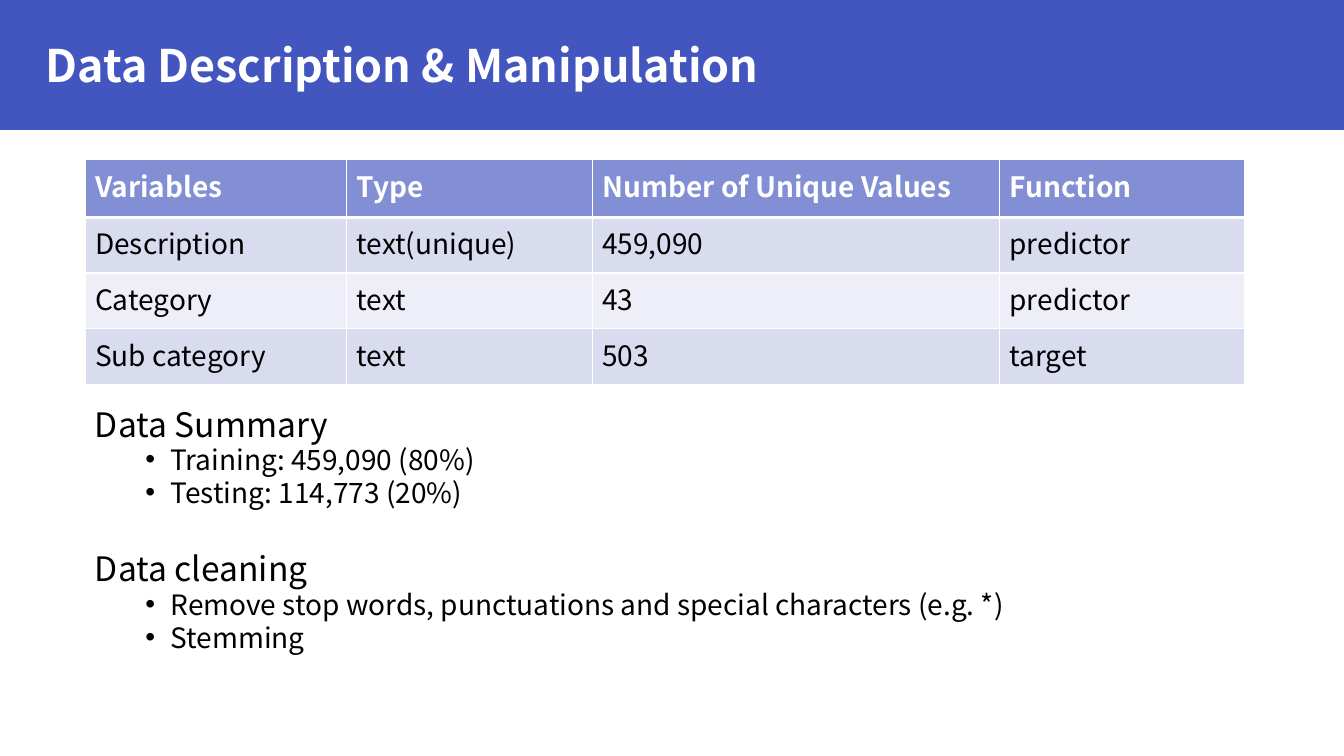
from dataclasses import dataclass

from lxml import etree
from pptx import Presentation
from pptx.dml.color import RGBColor
from pptx.enum import shapes, text
from pptx.oxml import ns
from pptx import util as u


@dataclass(frozen=True)
class Theme:
    font: str = "Noto Sans CJK SC"
    band: str = "4355BE"
    paper: str = "FFFFFF"
    ink: str = "000000"
    head: str = "838FD4"
    stripes: tuple = ("D9DBEF", "EDEEF7")
    title_size: int = 32
    heading_size: int = 24
    text_size: int = 20


THEME = Theme()
PX = 9525
WIDTH, HEIGHT = 1280, 720
BAND_HEIGHT = 124

COLUMNS = (249, 234, 388, 233)
ROWS = (55, 53, 53, 53)
VARIABLES = (
    ("Variables", "Type", "Number of Unique Values", "Function"),
    ("Description", "text(unique)", "459,090", "predictor"),
    ("Category", "text", "43", "predictor"),
    ("Sub category", "text", "503", "target"),
)
NOTES = (
    ("Data Summary", ("Training: 459,090 (80%)", "Testing: 114,773 (20%)")),
    ("Data cleaning", (
        "Remove stop words, punctuations and special characters (e.g. *)",
        "Stemming",
    )),
)


def px(*lengths):
    return [u.Emu(length * PX) for length in lengths]


def rgb(color):
    return RGBColor.from_string(color)


def add_run(p, words, size, color, bold=False):
    r = p.add_run()
    r.text = words
    r.font.name = THEME.font
    r.font.size = u.Pt(size)
    r.font.bold = bold
    r.font.color.rgb = rgb(color)


def add_text_frame(s, box):
    tf = s.shapes.add_textbox(*px(*box)).text_frame
    tf.word_wrap = True
    return tf


def set_border(cell, side, points):
    tc_pr = cell._tc.get_or_add_tcPr()
    ln = etree.SubElement(tc_pr, ns.qn(f"a:ln{side}"), w=str(u.Pt(points)))
    fill = etree.SubElement(ln, ns.qn("a:solidFill"))
    etree.SubElement(fill, ns.qn("a:srgbClr"), val=THEME.paper)


def set_bullet(p):
    p_pr = p._p.get_or_add_pPr()
    p_pr.set("marL", str(72 * PX))
    p_pr.set("indent", str(-24 * PX))
    etree.SubElement(p_pr, ns.qn("a:buFont"), typeface="Arial")
    etree.SubElement(p_pr, ns.qn("a:buChar"), char="•")


def add_background(s, box):
    s.background.fill.solid()
    s.background.fill.fore_color.rgb = rgb(THEME.band)
    sp = s.shapes.add_shape(shapes.MSO_SHAPE.RECTANGLE, *px(*box))
    sp.shadow.inherit = False
    sp.fill.solid()
    sp.fill.fore_color.rgb = rgb(THEME.paper)
    sp.line.fill.background()


def add_title(s, box):
    tf = add_text_frame(s, box)
    tf.vertical_anchor = text.MSO_ANCHOR.MIDDLE
    p = tf.paragraphs[0]
    p.line_spacing = 0.9
    add_run(p, "Data Description & Manipulation", THEME.title_size, THEME.paper, True)


def add_variables(s, box):
    table = s.shapes.add_table(len(ROWS), len(COLUMNS), *px(*box)).table
    for column, width in zip(table.columns, px(*COLUMNS)):
        column.width = width
    for row, height in zip(table.rows, px(*ROWS)):
        row.height = height
    for i, values in enumerate(VARIABLES):
        is_head = i == 0
        fill = THEME.head if is_head else THEME.stripes[(i - 1) % 2]
        color = THEME.paper if is_head else THEME.ink
        for j, value in enumerate(values):
            cell = table.cell(i, j)
            widths = {"L": 1, "R": 1, "T": 3 if i == 1 else 1, "B": 3 if is_head else 1}
            for side, points in widths.items():
                set_border(cell, side, points)
            cell.fill.solid()
            cell.fill.fore_color.rgb = rgb(fill)
            add_run(cell.text_frame.paragraphs[0], value, THEME.text_size, color, is_head)


def add_notes(s, box):
    tf = add_text_frame(s, box)
    for i, (heading, items) in enumerate(NOTES):
        p = tf.add_paragraph() if i else tf.paragraphs[0]
        p.line_spacing = 0.8
        p.space_before = u.Pt(34 if i else 0)
        add_run(p, heading, THEME.heading_size, THEME.ink)
        for item in items:
            p = tf.add_paragraph()
            p.level = 1
            p.line_spacing = 0.8
            p.space_before = u.Pt(4)
            set_bullet(p)
            add_run(p, item, THEME.text_size, THEME.ink)


def main():
    prs = Presentation()
    prs.slide_width, prs.slide_height = px(WIDTH, HEIGHT)
    s = prs.slides.add_slide(prs.slide_layouts[6])
    add_background(s, (0, BAND_HEIGHT, WIDTH, HEIGHT - BAND_HEIGHT))
    add_title(s, (34, 27, 757, 76))
    add_variables(s, (81, 152, sum(COLUMNS), sum(ROWS)))
    add_notes(s, (81, 387, 1086, 260))
    prs.save("out.pptx")


if __name__ == "__main__":
    main()
